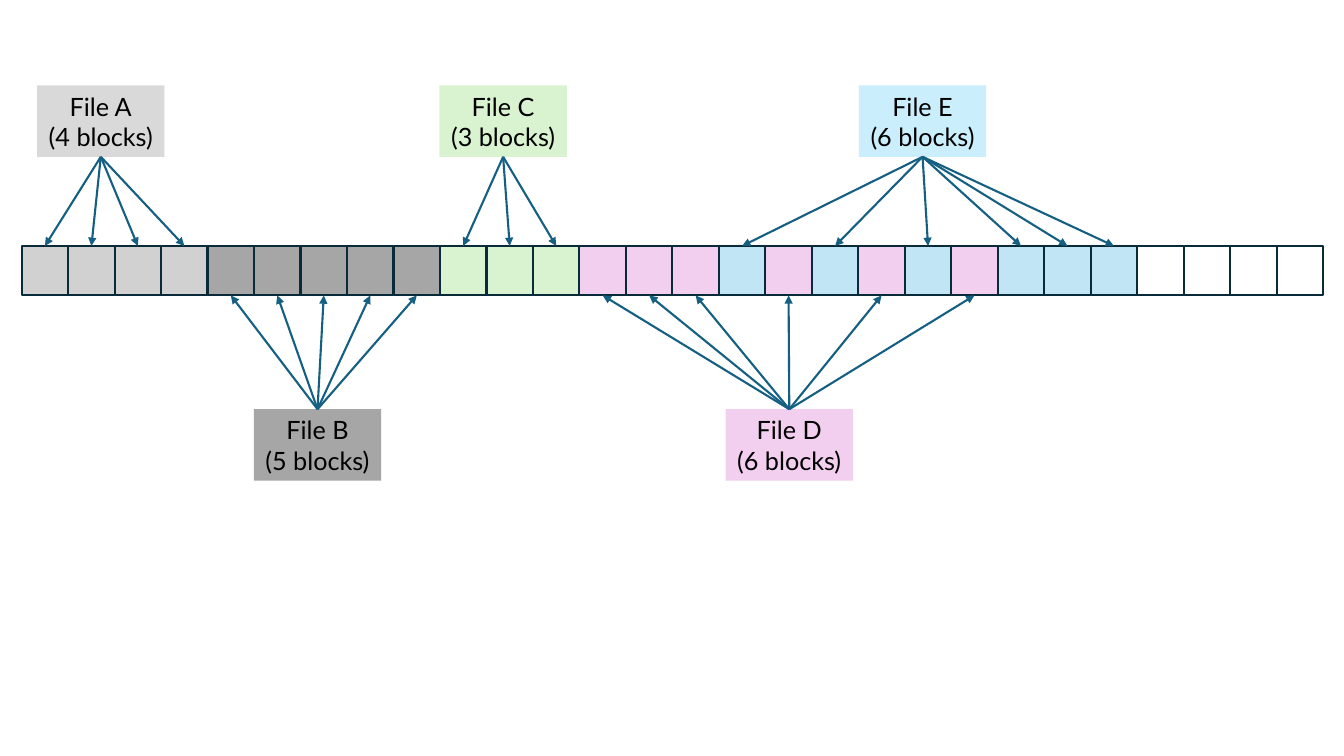
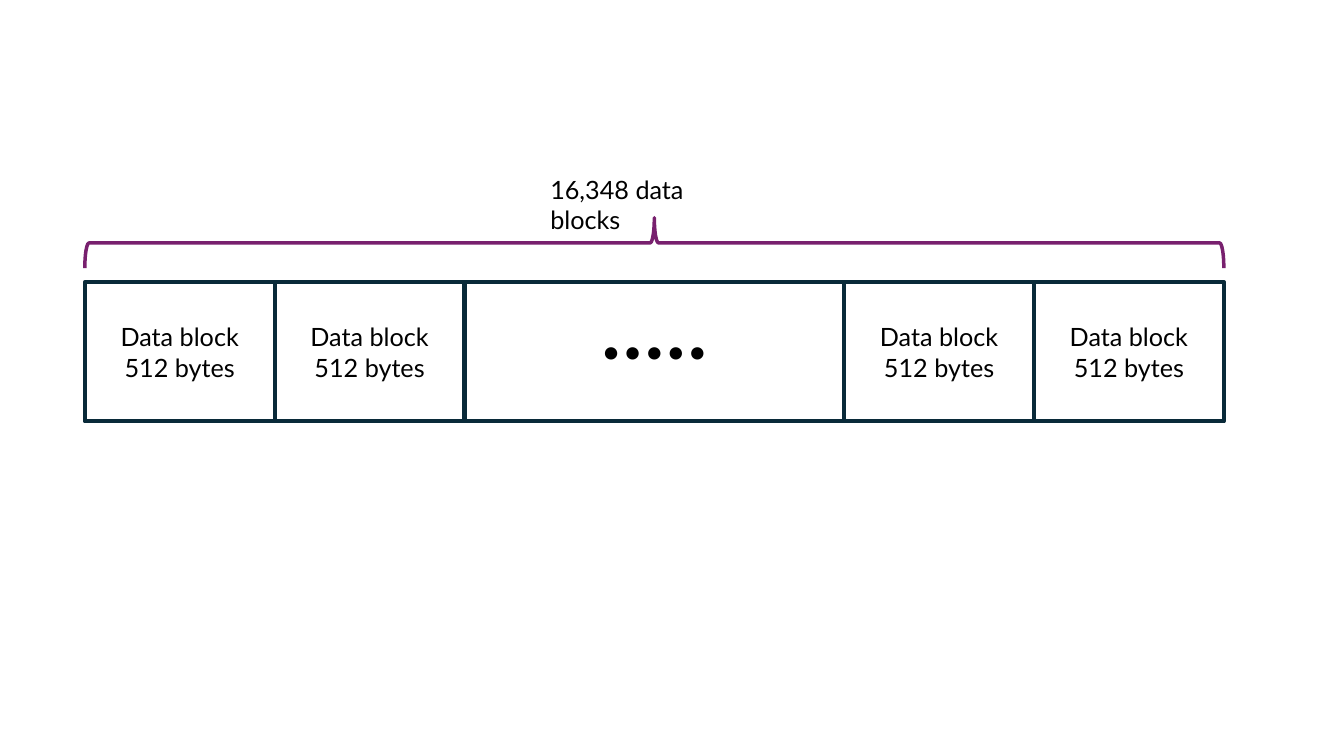
"""Build two diagrams of how files and data blocks sit on a disk."""
from dataclasses import dataclass

from lxml import etree
from pptx import Presentation
from pptx.dml.color import RGBColor
from pptx.enum.shapes import MSO_CONNECTOR, MSO_SHAPE
from pptx.enum.text import MSO_ANCHOR, PP_ALIGN
from pptx.oxml.ns import qn
from pptx.shapes.autoshape import Shape
from pptx.slide import Slide
from pptx.text.text import TextFrame
from pptx.util import Pt

RECTANGLE = MSO_SHAPE.RECTANGLE
BRACE = MSO_SHAPE.RIGHT_BRACE
STRAIGHT = MSO_CONNECTOR.STRAIGHT
MIDDLE = MSO_ANCHOR.MIDDLE
LEFT, CENTER = PP_ALIGN.LEFT, PP_ALIGN.CENTER


@dataclass(frozen=True)
class Theme:
    font: str = "Lato"
    text_size: float = 18
    text: str = "000000"
    outline: str = "092A39"
    arrow: str = "156082"
    brace: str = "78206E"
    light_gray: str = "D9D9D9"
    cell_gray: str = "D1D1D1"
    dark_gray: str = "A6A6A6"
    green: str = "D9F2D0"
    pink: str = "F2CFEE"
    light_blue: str = "CAEEFB"
    cell_blue: str = "C1E5F5"
    thin: float = 1.5
    brace_line: float = 2.5
    thick: float = 3


THEME = Theme()


@dataclass(frozen=True)
class Box:
    left: float
    top: float
    width: float
    height: float

    @property
    def center(self) -> float:
        return self.left + self.width / 2

    @property
    def bottom(self) -> float:
        return self.top + self.height


@dataclass(frozen=True)
class StoredFile:
    name: str
    center: float
    above: bool
    blocks: tuple[int, ...]
    label_fill: str
    block_fill: str


@dataclass(frozen=True)
class StripPart:
    text: str
    units: int = 1


SLIDE_WIDTH, SLIDE_HEIGHT = 960, 540

BLOCK_COUNT = 28
DISK = Box(15.5, 175.7, 929.6, 35.3)
LABEL_WIDTH, LABEL_HEIGHT = 91, 51
UPPER_LABEL_TOP, LOWER_LABEL_TOP = 61, 292.3
FILES = (
    StoredFile("File A", 72, True, (0, 1, 2, 3), THEME.light_gray, THEME.cell_gray),
    StoredFile("File B", 226.8, False, (4, 5, 6, 7, 8), THEME.dark_gray, THEME.dark_gray),
    StoredFile("File C", 359.4, True, (9, 10, 11), THEME.green, THEME.green),
    StoredFile("File D", 563.8, False, (12, 13, 14, 16, 18, 20), THEME.pink, THEME.pink),
    StoredFile("File E", 659, True, (15, 17, 19, 21, 22, 23), THEME.light_blue, THEME.cell_blue),
)

STRIP = Box(60.6, 201.6, 813.6, 99.4)
DATA_BLOCK = StripPart("Data block\n512 bytes")
STRIP_PARTS = (DATA_BLOCK, DATA_BLOCK, StripPart("● ● ● ● ●", 2), DATA_BLOCK, DATA_BLOCK)
BRACE_DEPTH, BRACE_MIDDLE = 36, 173.5
COUNT_CAPTION = Box(386, 121, 160, 29)


def set_text(frame: TextFrame, text: str, alignment: PP_ALIGN) -> None:
    """Write text in the shared type style."""
    frame.text = text
    for paragraph in frame.paragraphs:
        paragraph.alignment = alignment
        for run in paragraph.runs:
            run.font.name = THEME.font
            run.font.size = Pt(THEME.text_size)
            run.font.color.rgb = RGBColor.from_string(THEME.text)


def add_outline(slide: Slide, kind: MSO_SHAPE, box: Box, color: str | None = None,
                weight: float = 0, fill: str | None = None) -> Shape:
    """Add a flat preset shape with an optional line and fill."""
    shape = slide.shapes.add_shape(
        kind, Pt(box.left), Pt(box.top), Pt(box.width), Pt(box.height))
    shape.shadow.inherit = False
    if fill:
        shape.fill.solid()
        shape.fill.fore_color.rgb = RGBColor.from_string(fill)
    else:
        shape.fill.background()
    if color:
        shape.line.color.rgb = RGBColor.from_string(color)
        shape.line.width = Pt(weight)
    else:
        shape.line.fill.background()
    return shape


def add_arrow(slide: Slide, start: tuple[float, float], end: tuple[float, float]) -> None:
    """Add a straight arrow that points at its end."""
    arrow = slide.shapes.add_connector(
        STRAIGHT, Pt(start[0]), Pt(start[1]), Pt(end[0]), Pt(end[1]))
    arrow.line.color.rgb = RGBColor.from_string(THEME.arrow)
    arrow.line.width = Pt(THEME.thin)
    etree.SubElement(arrow.line._get_or_add_ln(), qn("a:tailEnd"), type="triangle")
    etree.SubElement(arrow._element.spPr, qn("a:effectLst"))


def block_box(index: int) -> Box:
    """Return the place of one block on the disk."""
    width = DISK.width / BLOCK_COUNT
    return Box(DISK.left + index * width, DISK.top, width, DISK.height)


def add_file(slide: Slide, file: StoredFile) -> None:
    """Add a file label and its arrows to the blocks it uses."""
    top = UPPER_LABEL_TOP if file.above else LOWER_LABEL_TOP
    box = Box(file.center - LABEL_WIDTH / 2, top, LABEL_WIDTH, LABEL_HEIGHT)
    label = add_outline(slide, RECTANGLE, box, fill=file.label_fill)
    label.text_frame.word_wrap = False
    set_text(label.text_frame, f"{file.name}\n({len(file.blocks)} blocks)", CENTER)
    start_y, end_y = (box.bottom, DISK.top) if file.above else (box.top, DISK.bottom)
    for index in file.blocks:
        add_arrow(slide, (file.center, start_y), (block_box(index).center, end_y))


def draw_allocation(slide: Slide) -> None:
    """Draw the disk blocks and the files that own them."""
    fills = {index: file.block_fill for file in FILES for index in file.blocks}
    for index in range(BLOCK_COUNT):
        add_outline(slide, RECTANGLE, block_box(index), THEME.outline, THEME.thin,
                    fills.get(index))
    for file in FILES:
        add_file(slide, file)


def draw_data_blocks(slide: Slide) -> None:
    """Draw the strip of data blocks under its brace and count."""
    unit = STRIP.width / sum(part.units for part in STRIP_PARTS)
    left = STRIP.left
    for part in STRIP_PARTS:
        box = Box(left, STRIP.top, part.units * unit, STRIP.height)
        block = add_outline(slide, RECTANGLE, box, THEME.outline, THEME.thick)
        block.text_frame.vertical_anchor = MIDDLE
        set_text(block.text_frame, part.text, CENTER)
        left += box.width

    brace_box = Box(STRIP.center - BRACE_DEPTH / 2, BRACE_MIDDLE - STRIP.width / 2,
                    BRACE_DEPTH, STRIP.width)
    brace = add_outline(slide, BRACE, brace_box, THEME.brace, THEME.brace_line)
    brace.rotation = 270

    caption = slide.shapes.add_textbox(
        Pt(COUNT_CAPTION.left), Pt(COUNT_CAPTION.top),
        Pt(COUNT_CAPTION.width), Pt(COUNT_CAPTION.height))
    caption.text_frame.word_wrap = True
    set_text(caption.text_frame, "16,348 data blocks", LEFT)


def main() -> None:
    """Build and save the presentation."""
    presentation = Presentation()
    presentation.slide_width = Pt(SLIDE_WIDTH)
    presentation.slide_height = Pt(SLIDE_HEIGHT)
    blank = presentation.slide_layouts[6]
    for draw in (draw_allocation, draw_data_blocks):
        draw(presentation.slides.add_slide(blank))
    presentation.save("out.pptx")


if __name__ == "__main__":
    main()
